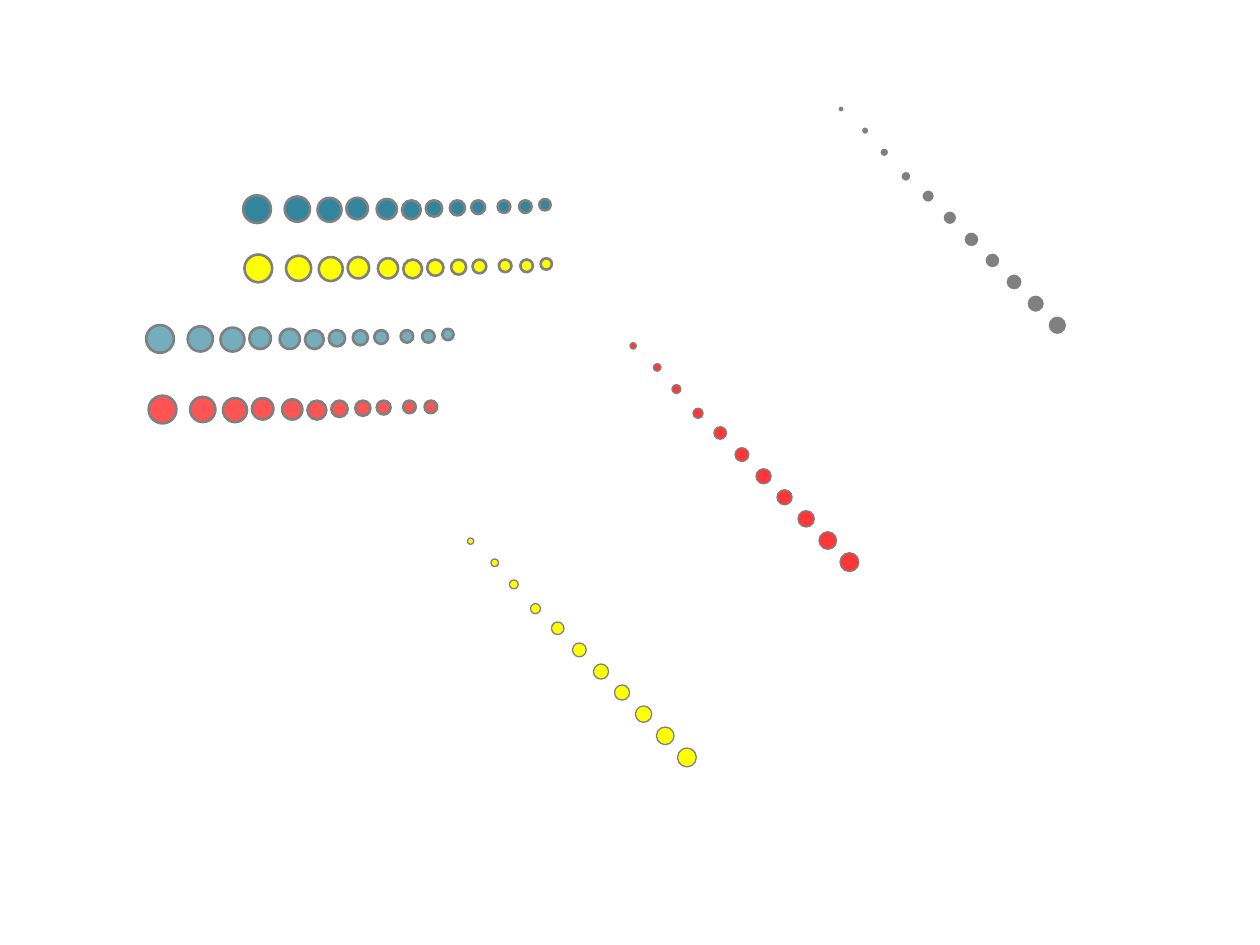
"""Build a slide of seven trails of dots that shrink or grow along their way."""
from dataclasses import dataclass
from typing import NamedTuple

from lxml import etree
from pptx import Presentation
from pptx import util as u
from pptx.dml.color import RGBColor
from pptx.enum import shapes
from pptx.oxml import ns

CELL = u.Inches(0.01)
COLUMNS, ROWS = 1000, 750

TEAL = RGBColor(0x31, 0x85, 0x9C)
YELLOW = RGBColor(0xFF, 0xFF, 0x00)
RED = RGBColor(0xFF, 0x00, 0x00)
CORAL = RGBColor(0xFF, 0x37, 0x37)
GREY = RGBColor(0x80, 0x80, 0x80)
WHITE = RGBColor(0xFF, 0xFF, 0xFF)


class Dot(NamedTuple):
    """Offset from the start of a trail and diameter, in grid cells."""
    column: float
    row: float
    size: float


@dataclass(frozen=True)
class Trail:
    """A run of dots in one style, starting at a grid position."""
    column: float
    row: float
    dots: list[Dot]
    fill: RGBColor
    line: RGBColor = GREY
    weight: float = 1.5
    opacity: int = 100


LEVEL = [Dot(*values) for values in zip(
    (0, 33, 59, 82, 106, 126, 145, 164, 181, 202, 219, 235),
    (0, 1, 2, 2, 3, 4, 4, 4, 4, 4, 4, 3),
    (22, 20, 19, 17, 16, 15, 13, 12, 11, 10, 10, 9))]

STEP = 100 / 6
NUDGES = {1: (2, 0), 3: (0, 2)}
SLOPE_SIZES = (5, 6, 7, 8, 10, 11, 12, 12, 13, 14, 15)


def slope_dot(index: int, size: float) -> Dot:
    """Place one dot of a falling trail by its even step."""
    across, down = NUDGES.get(index, (0, 0))
    return Dot(index * STEP + across, index * STEP + down, size)


SLOPE = [slope_dot(index, size) for index, size in enumerate(SLOPE_SIZES)]

TRAILS = [
    Trail(193, 155, LEVEL, TEAL),
    Trail(194, 202, LEVEL, YELLOW),
    Trail(118, 314, LEVEL[:-1], RED, opacity=67),
    Trail(116, 258, LEVEL, TEAL, opacity=67),
    Trail(500, 272, SLOPE, CORAL, weight=0.75),
    Trail(371, 427, SLOPE, YELLOW, weight=0.75),
    Trail(665, 84, SLOPE, GREY, WHITE, weight=0.75),
]


def cells(count: float) -> u.Emu:
    """Turn a count of grid cells into a length."""
    return u.Emu(round(count * CELL))


def draw_trail(page, trail: Trail) -> None:
    """Draw every dot of a trail."""
    for dot in trail.dots:
        circle = page.shapes.add_shape(
            shapes.MSO_SHAPE.OVAL,
            cells(trail.column + dot.column), cells(trail.row + dot.row),
            cells(dot.size), cells(dot.size))
        circle.shadow.inherit = False
        circle.fill.solid()
        circle.fill.fore_color.rgb = trail.fill
        circle.line.color.rgb = trail.line
        circle.line.width = u.Pt(trail.weight)
        if trail.opacity < 100:
            color = circle.fill._xPr.find(ns.qn("a:solidFill"))[0]
            alpha = etree.SubElement(color, ns.qn("a:alpha"))
            alpha.set("val", str(trail.opacity * 1000))


def main() -> None:
    """Build and save the deck."""
    deck = Presentation()
    deck.slide_width, deck.slide_height = cells(COLUMNS), cells(ROWS)
    page = deck.slides.add_slide(deck.slide_layouts[6])
    for trail in TRAILS:
        draw_trail(page, trail)
    deck.save("out.pptx")


main()
